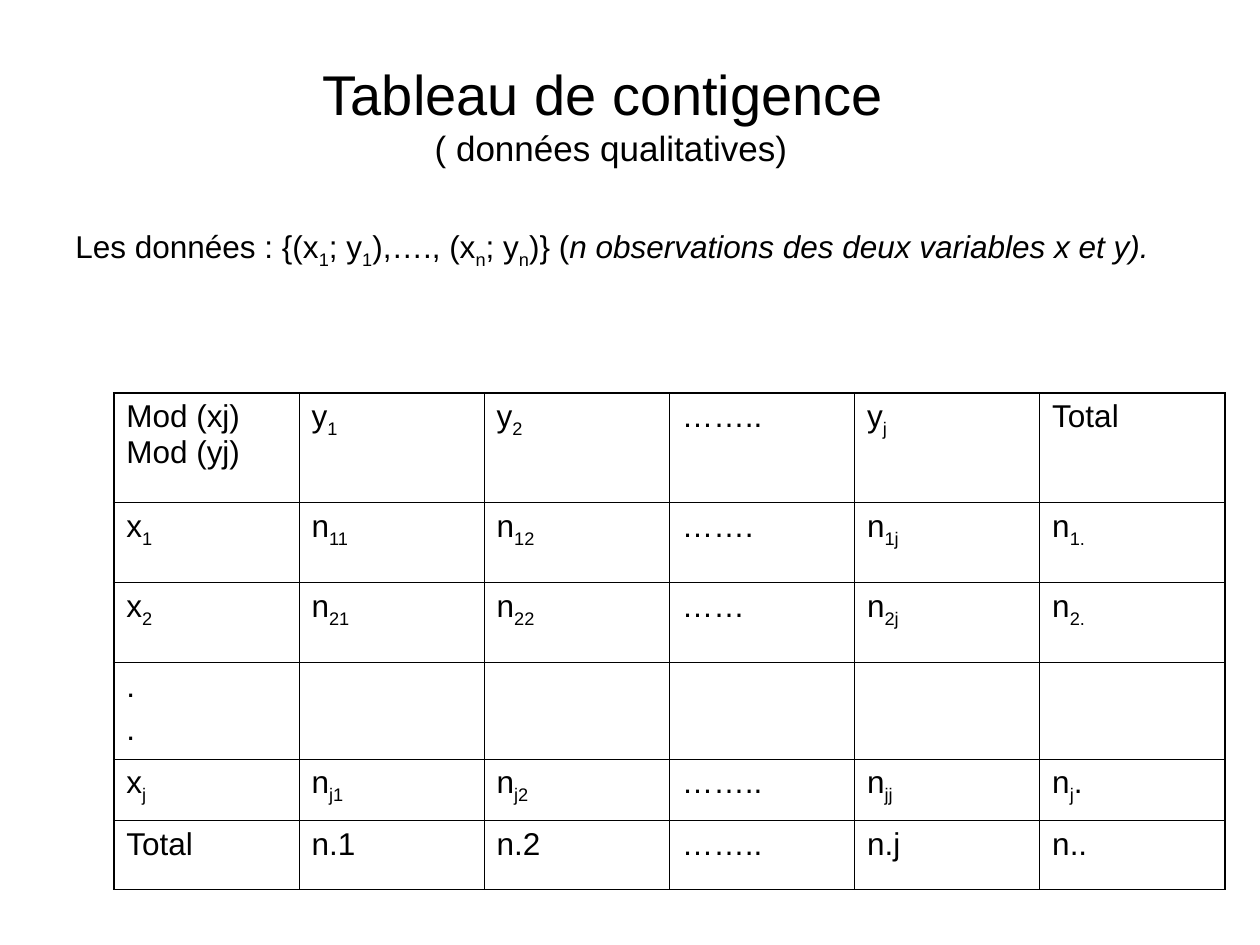
from lxml.etree import SubElement
from pptx import Presentation
from pptx.dml.color import RGBColor
from pptx.enum.text import MSO_ANCHOR as Anchor, PP_ALIGN as Align
from pptx.oxml.ns import qn
from pptx.util import Pt

COLORS = {"text": "000000", "border": "000000"}
FONT = "Arial"
THIN, THICK = 0.45, 1.08

# Text between bars is set as a subscript
DATA_LINE = "Les données : {(x|1|; y|1|),…., (x|n|; y|n|)} ("
DATA_NOTE = "n observations des deux variables x et y)."
CELLS = [
    ["Mod (xj) Mod (yj)", "y|1|", "y|2|", "……..", "y|j|", "Total"],
    ["x|1|", "n|11|", "n|12|", "…….", "n|1j|", "n|1.|"],
    ["x|2|", "n|21|", "n|22|", "……", "n|2j|", "n|2.|"],
    [".\n.", "", "", "", "", ""],
    ["x|j|", "n|j1|", "n|j2|", "……..", "n|jj|", "n|j|."],
    ["Total", "n.1", "n.2", "……..", "n.j", "n.."],
]
COL_WIDTH = 105.84
ROW_HEIGHTS = [62.6, 45.8, 45.8, 54.8, 35.3, 39.3]


def add_run(p, text, size=18, italic=False):
    r = p.add_run()
    r.text = text
    r.font.name = FONT
    r.font.size = Pt(size)
    r.font.italic = italic
    r.font.color.rgb = RGBColor.from_string(COLORS["text"])
    return r


def add_math(p, text):
    """Add runs to a paragraph, lowering the parts between bars."""
    for i, part in enumerate(text.split("|")):
        if part:
            r = add_run(p, part)
            if i % 2:
                r.font._element.set("baseline", "-25000")


def place(sp, left, top, width, height):
    sp.left, sp.top = Pt(left), Pt(top)
    sp.width, sp.height = Pt(width), Pt(height)


def add_title(slide):
    sp = slide.shapes.title
    place(sp, 25.2, 20.2, 648, 90)
    tf = sp.text_frame
    tf.vertical_anchor = Anchor.MIDDLE
    p = tf.paragraphs[0]
    p.alignment = Align.CENTER
    add_run(p, "Tableau de contigence ", 32)
    p.add_line_break()
    add_run(p, "( données qualitatives)", 20)


def add_data_line(slide):
    sp = slide.shapes.add_textbox(Pt(36), Pt(126), Pt(664.6), Pt(64.8))
    tf = sp.text_frame
    tf.word_wrap = True
    p = tf.paragraphs[0]
    add_math(p, DATA_LINE)
    add_run(p, DATA_NOTE, italic=True)


def set_borders(cell, widths):
    tc_pr = cell._tc.get_or_add_tcPr()
    for side, width in zip("LRTB", widths):
        ln = SubElement(tc_pr, qn(f"a:ln{side}"), w=str(Pt(width)))
        fill = SubElement(ln, qn("a:solidFill"))
        SubElement(fill, qn("a:srgbClr"), val=COLORS["border"])


def fill_cell(cell, text):
    tf = cell.text_frame
    for i, line in enumerate(text.split("\n")):
        p = tf.add_paragraph() if i else tf.paragraphs[0]
        if i:
            p.space_before = Pt(4.5)
        p.font.size = Pt(18)
        add_math(p, line)


def add_contingency_table(slide):
    n_rows, n_cols = len(CELLS), len(CELLS[0])
    table = slide.shapes.add_table(
        n_rows, n_cols, Pt(65), Pt(224.6),
        Pt(COL_WIDTH * n_cols), Pt(sum(ROW_HEIGHTS))).table
    table.first_row = table.horz_banding = False
    for col in table.columns:
        col.width = Pt(COL_WIDTH)
    for row, height in zip(table.rows, ROW_HEIGHTS):
        row.height = Pt(height)
    for i, texts in enumerate(CELLS):
        for j, text in enumerate(texts):
            cell = table.cell(i, j)
            fill_cell(cell, text)
            # The outer frame is thicker than the inner grid
            outer = (j == 0, j == n_cols - 1, i == 0, i == n_rows - 1)
            set_borders(cell, [THICK if o else THIN for o in outer])
            cell.fill.background()


def main():
    prs = Presentation()
    prs.slide_width, prs.slide_height = Pt(720), Pt(540)
    slide = prs.slides.add_slide(prs.slide_layouts[5])
    add_title(slide)
    add_data_line(slide)
    add_contingency_table(slide)
    prs.save("out.pptx")


if __name__ == "__main__":
    main()
